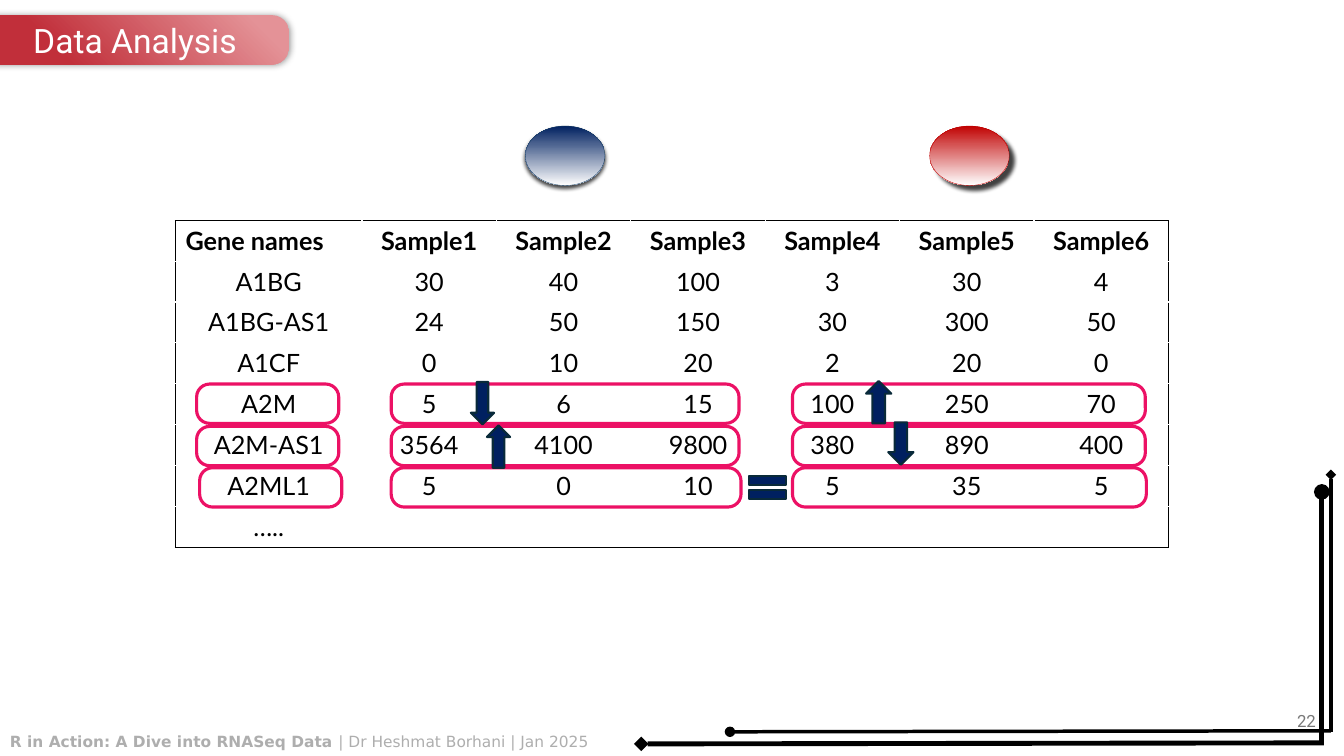
from lxml import etree
from pptx import Presentation
from pptx import util as u
from pptx.dml.color import RGBColor
from pptx.enum import shapes, text
from pptx.oxml.ns import qn

TITLE = "Data Analysis"
FOOTER = [("R in Action: A Dive into RNASeq Data ", True),
          ("| Dr Heshmat Borhani | Jan 2025", False)]
PAGE = "22"
GENES = [
    ["Gene names", "Sample1", "Sample2", "Sample3", "Sample4", "Sample5", "Sample6"],
    ["A1BG", "30", "40", "100", "3", "30", "4"],
    ["A1BG-AS1", "24", "50", "150", "30", "300", "50"],
    ["A1CF", "0", "10", "20", "2", "20", "0"],
    ["A2M", "5", "6", "15", "100", "250", "70"],
    ["A2M-AS1", "3564", "4100", "9800", "380", "890", "400"],
    ["A2ML1", "5", "0", "10", "5", "35", "5"],
    ["…..", "", "", "", "", "", ""],
]
TABLE = (1.74, 2.19, 9.85, 3.24)
NAME_W, HEAD_H = 1.85, 0.4
GROUPS = [
    (5.21, [(0, "002060"), (30, "4B628F"), (100, "FFFFFF")], "163E64", ("000000", 75, 3, 2, 90)),
    (9.22, [(0, "C00000"), (30, "D45050"), (100, "FFFFFF")], "C00000", ("000000", 75, 3, 5, 45)),
]
FRAME_TOPS = [3.81, 4.23, 4.64]
FRAMES = [
    [(1.95, 1.41), (3.88, 3.45), (7.86, 3.5)],
    [(1.95, 1.41), (3.88, 3.45), (7.86, 3.5)],
    [(1.98, 1.41), (3.88, 3.47), (7.86, 3.51)],
]
UP, EQUAL = shapes.MSO_SHAPE.UP_ARROW, shapes.MSO_SHAPE.MATH_EQUAL
CHANGES = [
    (UP, (4.67, 3.79, 0.23, 0.42), 180),
    (UP, (8.59, 3.78, 0.25, 0.42), 0),
    (UP, (4.83, 4.22, 0.23, 0.42), 0),
    (UP, (8.81, 4.19, 0.25, 0.42), 180),
    (EQUAL, (7.36, 4.64, 0.5, 0.39), 0),
]
CIRCUIT = [
    ((6.36, 7.38, 13.13, 7.37), 3.5, "headEnd", "diamond"),
    ((7.24, 7.26, 13.2, 7.25), 2.5, "headEnd", "oval"),
    ((13.11, 7.39, 13.11, 4.88), 3.75, "tailEnd", "oval"),
    ((13.2, 7.26, 13.2, 4.71), 2.5, "tailEnd", "diamond"),
]
ALIGN = text.PP_ALIGN


def rgb(value):
    return RGBColor.from_string(value)


def inches(values):
    return [u.Inches(v) for v in values]


def sub(parent, tag, **attrs):
    return etree.SubElement(parent, qn(tag), {k: str(v) for k, v in attrs.items()})


def write(p, runs, size, font, color, align):
    p.alignment = align
    for words, bold in runs:
        r = p.add_run()
        r.text = words
        look = {"size": u.Pt(size), "name": font, "bold": bold}
        for key, value in look.items():
            setattr(r.font, key, value)
        r.font.color.rgb = rgb(color)


def add(s, kind, box, fill=None, line=None, width=1, adj=None):
    sp = s.shapes.add_shape(kind, *inches(box))
    sp.shadow.inherit = False
    if fill:
        sp.fill.solid()
        sp.fill.fore_color.rgb = rgb(fill)
    else:
        sp.fill.background()
    if line:
        sp.line.color.rgb = rgb(line)
        sp.line.width = u.Pt(width)
    else:
        sp.line.fill.background()
    if adj:
        sp.adjustments[0] = adj
    return sp


def gradient(sp, stops, angle):
    pr = sp._element.spPr
    grad = etree.Element(qn("a:gradFill"), rotWithShape="1")
    items = sub(grad, "a:gsLst")
    for pos, color in stops:
        sub(sub(items, "a:gs", pos=pos * 1000), "a:srgbClr", val=color)
    sub(grad, "a:lin", ang=angle * 60000, scaled=0)
    pr.replace(pr.find(qn("a:noFill")), grad)


def shadow(sp, color, alpha, blur, dist, angle):
    effects = sp._element.spPr.find(qn("a:effectLst"))
    outer = sub(effects, "a:outerShdw", blurRad=u.Pt(blur), dist=u.Pt(dist),
                dir=angle * 60000, algn="ctr", rotWithShape=0)
    sub(sub(outer, "a:srgbClr", val=color), "a:alpha", val=alpha * 1000)


def border(cell, sides):
    pr = cell._tc.get_or_add_tcPr()
    for i, side in enumerate(sides):
        ln = etree.Element(qn("a:" + side), w=str(u.Pt(1)))
        sub(sub(ln, "a:solidFill"), "a:srgbClr", val="000000")
        pr.insert(i, ln)


def add_genes(s):
    rows, cols = len(GENES), len(GENES[0])
    table = s.shapes.add_table(rows, cols, *inches(TABLE)).table
    table.first_row = table.horz_banding = False
    for i, col in enumerate(table.columns):
        col.width = u.Inches((TABLE[2] - NAME_W) / (cols - 1) if i else NAME_W)
    for i, row in enumerate(table.rows):
        row.height = u.Inches((TABLE[3] - HEAD_H) / (rows - 1) if i else HEAD_H)
    for i, values in enumerate(GENES):
        for j, value in enumerate(values):
            cell = table.cell(i, j)
            cell.fill.background()
            edges = {"lnL": j == 0, "lnR": j == cols - 1, "lnT": i == 0, "lnB": i == rows - 1}
            border(cell, [side for side, shown in edges.items() if shown])
            if value:
                write(cell.text_frame.paragraphs[0], [(value, i == 0)], 18, "Lato", "000000",
                      ALIGN.CENTER if i or j else ALIGN.LEFT)


def add_marks(s):
    for x, stops, line, shade in GROUPS:
        sp = add(s, shapes.MSO_SHAPE.OVAL, (x, 1.25, 0.79, 0.59), line=line, width=0.25)
        gradient(sp, stops, 90)
        shadow(sp, *shade)
    for y, frames in zip(FRAME_TOPS, FRAMES):
        for x, w in frames:
            add(s, shapes.MSO_SHAPE.ROUNDED_RECTANGLE, (x, y, w, 0.39),
                line="EC1165", width=2.25, adj=0.33)
    for kind, box, turn in CHANGES:
        add(s, kind, box, "002060", "092A39", 1.5).rotation = turn


def add_title(s):
    sp = add(s, shapes.MSO_SHAPE.ROUNDED_RECTANGLE, (-0.19, 0.15, 3.06, 0.49), adj=0.35)
    gradient(sp, [(11, "E49297"), (75, "C12F3A")], 135)
    shadow(sp, "000000", 40, 5, 0, 0)
    tf = sp.text_frame
    tf.vertical_anchor = text.MSO_ANCHOR.MIDDLE
    write(tf.paragraphs[0], [(TITLE, False)], 24, "Roboto", "FFFFFF", ALIGN.CENTER)


def add_footer(s):
    for ends, width, end, tip in CIRCUIT:
        c = s.shapes.add_connector(shapes.MSO_CONNECTOR.STRAIGHT, *inches(ends))
        c.line.color.rgb = rgb("000000")
        c.line.width = u.Pt(width)
        sub(c.line._get_or_add_ln(), "a:" + end, type=tip)
        sub(c._element.spPr, "a:effectLst")
    sp = add(s, shapes.MSO_SHAPE.RECTANGLE, (0, 7.21, 6.06, 0.29), "FFFFFF")
    tf = sp.text_frame
    tf.vertical_anchor = text.MSO_ANCHOR.TOP
    write(tf.paragraphs[0], FOOTER, 11, "DejaVu Sans", "AEAEAE", ALIGN.LEFT)
    tf = s.shapes.add_textbox(*inches((10.15, 6.95, 3, 0.4))).text_frame
    tf.word_wrap = True
    tf.vertical_anchor = text.MSO_ANCHOR.MIDDLE
    write(tf.paragraphs[0], [(PAGE, False)], 12, "Roboto", "797979", ALIGN.RIGHT)


def main():
    prs = Presentation()
    prs.slide_width, prs.slide_height = inches((13.33, 7.5))
    s = prs.slides.add_slide(prs.slide_layouts[6])
    for part in (add_genes, add_marks, add_title, add_footer):
        part(s)
    prs.save("out.pptx")


if __name__ == "__main__":
    main()
